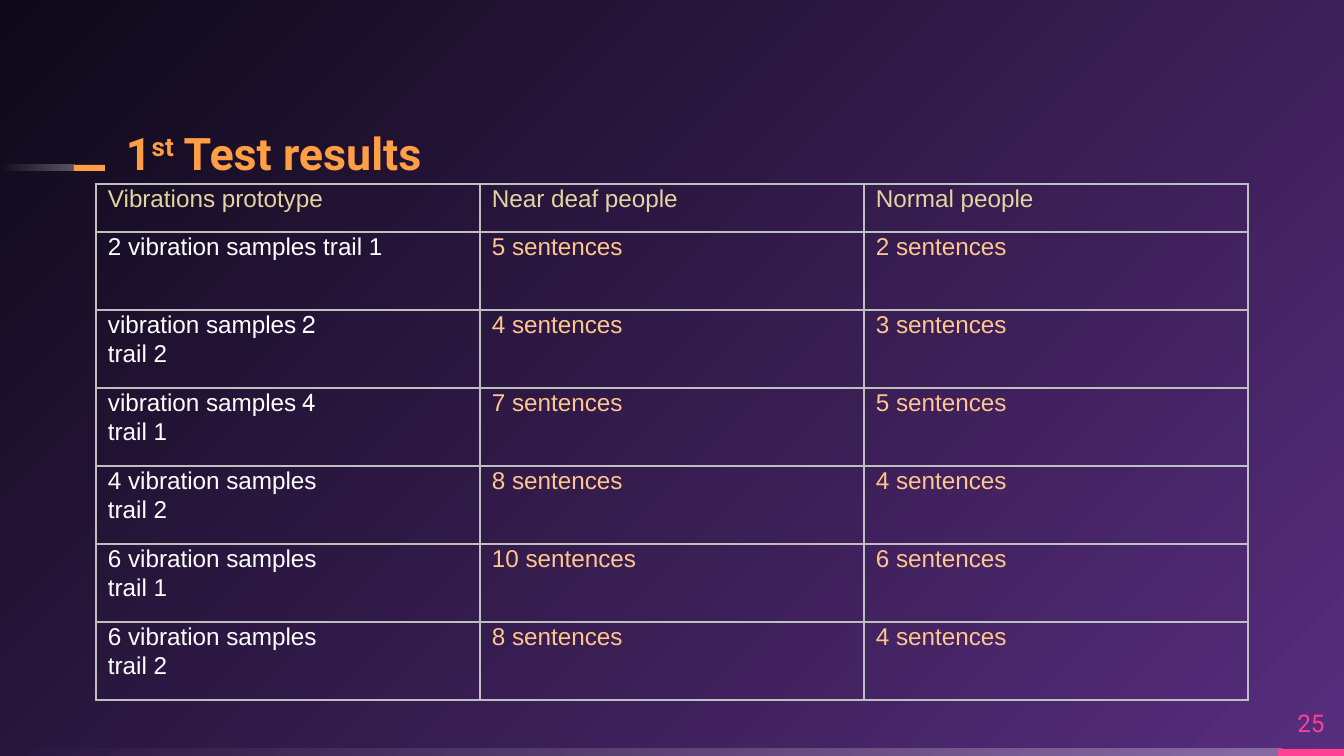
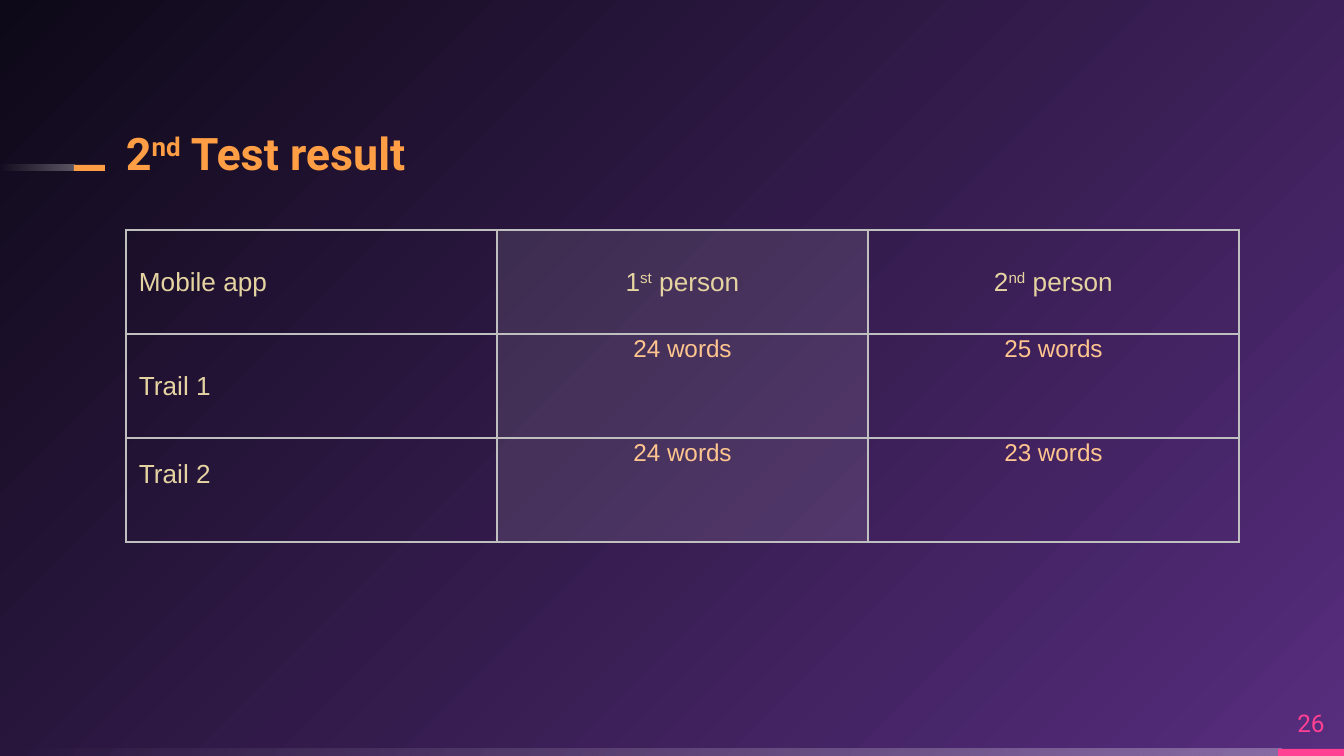
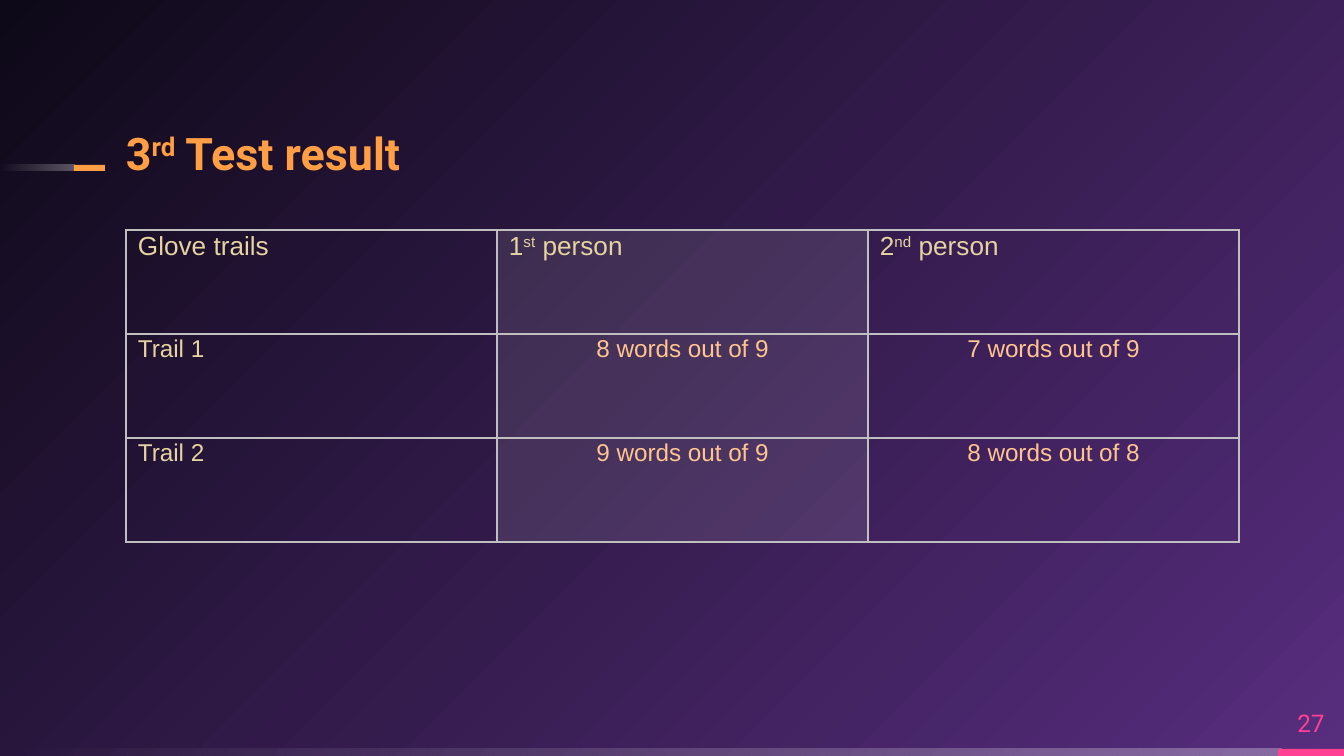
from dataclasses import dataclass, replace

from lxml import etree
from pptx import Presentation, util as u
from pptx.dml.color import RGBColor
from pptx.enum import shapes, text
from pptx.oxml import ns

PURPLE = RGBColor(0x57, 0x2D, 0x7E)
NIGHT = RGBColor(0x0E, 0x09, 0x18)
WHITE = RGBColor(0xFF, 0xFF, 0xFF)
ORANGE = RGBColor(0xFF, 0x9E, 0x44)
PINK = RGBColor(0xFF, 0x40, 0x93)
CREAM = RGBColor(0xE5, 0xD3, 0xA1)
PEACH = RGBColor(0xFF, 0xC5, 0x8F)
SILVER = RGBColor(0xBF, 0xBF, 0xBF)

HEADING_FONT = "Roboto"
BODY_FONT = "Arial"
EMU_PER_PX = 914400 / 134.4
WIDTH, HEIGHT = 1344, 756


def px(length):
    return u.Emu(round(length * EMU_PER_PX))


def sub(parent, tag, **attributes):
    return etree.SubElement(parent, ns.qn(tag), attributes)


def set_alpha(color_element, percent):
    sub(color_element, "a:alpha", val=str(percent * 1000))


@dataclass(frozen=True)
class CellStyle:
    color: RGBColor
    size: int = 13
    centered: bool = False
    middle: bool = False
    rtl: bool = False
    spacing: float | None = 1.07
    margins: tuple = (12, 0, 12, 0)  # left, top, right, bottom


VALUE = CellStyle(PEACH)
CENTERED_VALUE = replace(VALUE, centered=True)
HEADER = CellStyle(CREAM)
LARGE_HEADER = replace(HEADER, size=14)
MIDDLE_LABEL = replace(LARGE_HEADER, middle=True, spacing=None, margins=(13, 9, 13, 9))
MIDDLE_HEADER = replace(MIDDLE_LABEL, centered=True)
RAISED_LABEL = replace(MIDDLE_LABEL, margins=(13, 9, 13, 41))
SAMPLE = CellStyle(WHITE)
RTL_SAMPLE = replace(SAMPLE, rtl=True)


class Deck:
    def __init__(self):
        self.presentation = Presentation()
        self.presentation.slide_width = px(WIDTH)
        self.presentation.slide_height = px(HEIGHT)
        self.slide = None

    def start_slide(self, title, number):
        self.slide = self.presentation.slides.add_slide(self.presentation.slide_layouts[6])
        self.background()
        self.fading_band(0, 749, 1282, 7)
        self.band(1278, 749, 66, 7, PINK)
        self.fading_band(0, 165, 75, 6)
        self.band(74, 165, 31, 6, ORANGE)
        self.label(title, (126, 122, 780, 58), 24, ORANGE, bold=True,
                   anchor=text.MSO_ANCHOR.BOTTOM, spacing=0.9)
        self.label(str(number), (1278, 697, 66, 51), 13, PINK,
                   align=text.PP_ALIGN.CENTER)

    def background(self):
        """Shade the slide from the bottom right corner to the top left."""
        fill = self.slide.background.fill
        fill.gradient()
        for stop, color in zip(fill.gradient_stops, (PURPLE, NIGHT)):
            stop.color.rgb = color
        gradient = self.slide._element.find(".//" + ns.qn("a:gradFill"))
        linear = gradient.find(ns.qn("a:lin"))
        circle = etree.Element(ns.qn("a:path"), {"path": "circle"})
        sub(circle, "a:fillToRect", l="100000", t="100000")
        gradient.replace(linear, circle)

    def rectangle(self, left, top, width, height):
        bar = self.slide.shapes.add_shape(
            shapes.MSO_SHAPE.RECTANGLE, px(left), px(top), px(width), px(height))
        bar.shadow.inherit = False
        bar.line.fill.background()
        return bar

    def band(self, left, top, width, height, color):
        bar = self.rectangle(left, top, width, height)
        bar.fill.solid()
        bar.fill.fore_color.rgb = color

    def fading_band(self, left, top, width, height):
        """Add a white bar that grows clear towards its left end."""
        bar = self.rectangle(left, top, width, height)
        bar.fill.gradient()
        bar.fill.gradient_angle = 180
        for stop in bar.fill.gradient_stops:
            stop.color.rgb = WHITE
        for color, alpha in zip(bar._element.spPr.iter(ns.qn("a:srgbClr")), (30, 0)):
            set_alpha(color, alpha)

    def add_runs(self, paragraph, words, font, size, color, bold=False):
        """Add runs, raising each part between two carets."""
        for index, part in enumerate(words.split("^")):
            run = paragraph.add_run()
            run.text = part
            run.font.name = font
            run.font.size = u.Pt(size)
            run.font.bold = bold
            run.font.color.rgb = color
            if index % 2:
                run._r.get_or_add_rPr().set("baseline", "30000")

    def label(self, words, box, size, color, bold=False, align=text.PP_ALIGN.LEFT,
              anchor=text.MSO_ANCHOR.MIDDLE, spacing=None):
        frame = self.slide.shapes.add_textbox(*map(px, box)).text_frame
        frame.word_wrap = True
        frame.vertical_anchor = anchor
        frame.margin_left = frame.margin_top = frame.margin_right = frame.margin_bottom = 0
        paragraph = frame.paragraphs[0]
        paragraph.alignment = align
        paragraph.line_spacing = spacing
        self.add_runs(paragraph, words, HEADING_FONT, size, color, bold)

    def table(self, left, top, column_width, row_heights, rows, tinted_column=None):
        """Add a table from rows of (words, style) pairs."""
        columns = len(rows[0])
        grid = self.slide.shapes.add_table(
            len(rows), columns, px(left), px(top),
            px(column_width * columns), px(sum(row_heights))).table
        grid.first_row = grid.horz_banding = False
        for column in grid.columns:
            column.width = px(column_width)
        for row_index, (height, row) in enumerate(zip(row_heights, rows)):
            grid.rows[row_index].height = px(height)
            for column_index, (words, style) in enumerate(row):
                self.cell(grid.cell(row_index, column_index), words, style,
                          column_index == tinted_column)

    def cell(self, cell, words, style, tinted):
        cell.margin_left, cell.margin_top, cell.margin_right, cell.margin_bottom = map(
            px, style.margins)
        cell.vertical_anchor = (
            text.MSO_ANCHOR.MIDDLE if style.middle else text.MSO_ANCHOR.TOP)
        for index, line in enumerate(words.split("\n")):
            frame = cell.text_frame
            paragraph = frame.add_paragraph() if index else frame.paragraphs[0]
            paragraph.alignment = (
                text.PP_ALIGN.CENTER if style.centered else text.PP_ALIGN.LEFT)
            paragraph.line_spacing = style.spacing
            if style.rtl and index == 0:
                paragraph._p.get_or_add_pPr().set("rtl", "1")
            self.add_runs(paragraph, line, BODY_FONT, style.size, style.color)
        properties = cell._tc.get_or_add_tcPr()
        if tinted:
            cell.fill.solid()
            cell.fill.fore_color.rgb = WHITE
            set_alpha(properties.find(".//" + ns.qn("a:srgbClr")), 10)
        else:
            cell.fill.background()
        for position, side in enumerate(("a:lnL", "a:lnR", "a:lnT", "a:lnB")):
            border = etree.Element(ns.qn(side), {"w": str(u.Pt(1))})
            sub(sub(border, "a:solidFill"), "a:srgbClr", val=str(SILVER))
            properties.insert(position, border)


def styled_row(words, label_style, value_style):
    label, *values = words
    return [(label, label_style)] + [(value, value_style) for value in values]


def vibration_slide(deck):
    deck.start_slide("1^st^ Test results", 25)
    trials = [
        ("2 vibration samples trail 1", 5, 2, SAMPLE),
        ("2 vibration samples\ntrail 2", 4, 3, RTL_SAMPLE),
        ("4 vibration samples\ntrail 1", 7, 5, RTL_SAMPLE),
        ("4 vibration samples\ntrail 2", 8, 4, SAMPLE),
        ("6 vibration samples\ntrail 1", 10, 6, SAMPLE),
        ("6 vibration samples\ntrail 2", 8, 4, SAMPLE),
    ]
    headings = ("Vibrations prototype", "Near deaf people", "Normal people")
    rows = [styled_row(headings, HEADER, HEADER)]
    for prototype, near_deaf, normal, style in trials:
        words = (prototype, f"{near_deaf} sentences", f"{normal} sentences")
        rows.append(styled_row(words, style, VALUE))
    deck.table(96, 184, 384, [48] + [78] * len(trials), rows)


def person_slide(deck, title, number, rows):
    deck.start_slide(title, number)
    deck.table(126, 230, 371, [104] * len(rows), rows, tinted_column=1)


def main():
    deck = Deck()
    vibration_slide(deck)
    persons = ("1^st^ person", "2^nd^ person")
    person_slide(deck, "2^nd^ Test result", 26, [
        styled_row(("Mobile app", *persons), MIDDLE_LABEL, MIDDLE_HEADER),
        styled_row(("Trail 1", "24 words", "25 words"), MIDDLE_LABEL, CENTERED_VALUE),
        styled_row(("Trail 2", "24 words", "23 words"), RAISED_LABEL, CENTERED_VALUE),
    ])
    person_slide(deck, "3^rd^ Test result", 27, [
        styled_row(("Glove trails", *persons), LARGE_HEADER, LARGE_HEADER),
        styled_row(("Trail 1", "8 words out of 9", "7 words out of 9"), HEADER, CENTERED_VALUE),
        styled_row(("Trail 2", "9 words out of 9", "8 words out of 8"), HEADER, CENTERED_VALUE),
    ])
    deck.presentation.save("out.pptx")


if __name__ == "__main__":
    main()
